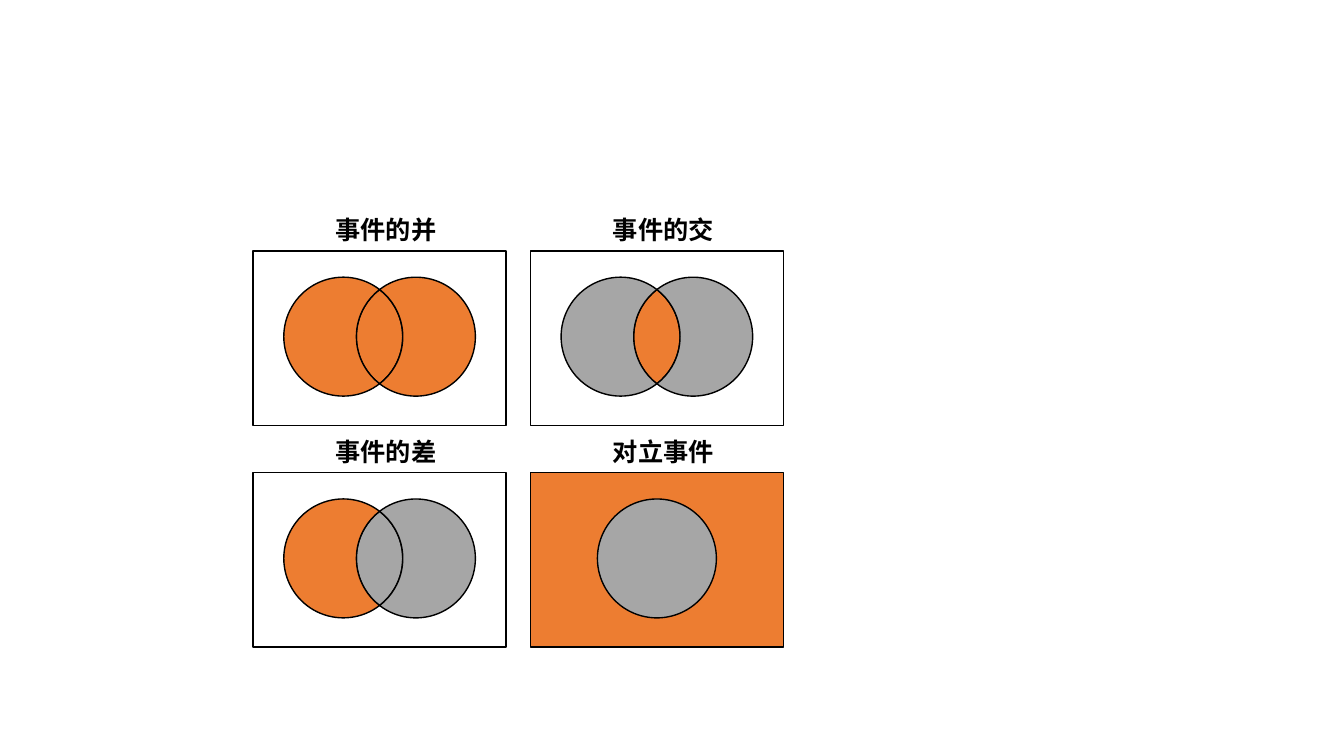
from math import acos, cos, degrees, radians, sin

from lxml.etree import SubElement
from pptx import Presentation
from pptx.dml.color import RGBColor
from pptx.enum.shapes import MSO_SHAPE
from pptx.enum.text import MSO_AUTO_SIZE
from pptx.oxml.ns import qn
from pptx.util import Inches, Pt

FONT = "Noto Sans CJK SC"
BLACK = RGBColor(0x00, 0x00, 0x00)
WHITE = RGBColor(0xFF, 0xFF, 0xFF)
ORANGE = RGBColor(0xED, 0x7D, 0x31)
GRAY = RGBColor(0xA6, 0xA6, 0xA6)

# Grid of panels, in inches
GRID_LEFT, GRID_TOP = 2.51, 2.49
COLUMN_STEP, ROW_STEP = 2.75, 2.2
PANEL_WIDTH, PANEL_HEIGHT = 2.51, 1.73
LABEL_LEFT, LABEL_RISE = 0.72, 0.41
LABEL_WIDTH, LABEL_HEIGHT = 1.22, 0.4

# Circles, measured from the panel's middle column
RADIUS = 0.59
HALF_DISTANCE = 0.36
CENTER_DROP = 0.85
CROSSING = degrees(acos(HALF_DISTANCE / RADIUS))
ANGLE_UNITS = 60000

# Column, row, title, then colours of left part, overlap and right part
VENN_PANELS = [
    (0, 0, "事件的并", ORANGE, ORANGE, ORANGE),
    (1, 0, "事件的交", GRAY, ORANGE, GRAY),
    (0, 1, "事件的差", ORANGE, GRAY, GRAY),
]


def paint(shape, color):
    shape.shadow.inherit = False
    shape.fill.solid()
    shape.fill.fore_color.rgb = color
    shape.line.color.rgb = BLACK
    shape.line.width = Pt(1)


def add_preset(page, kind, left, top, width, height, color):
    lengths = [Inches(value) for value in (left, top, width, height)]
    paint(page.shapes.add_shape(kind, *lengths), color)


def add_label(page, left, top, title):
    lengths = [Inches(value) for value in (left, top, LABEL_WIDTH, LABEL_HEIGHT)]
    frame = page.shapes.add_textbox(*lengths).text_frame
    frame.word_wrap = False
    frame.auto_size = MSO_AUTO_SIZE.SHAPE_TO_FIT_TEXT
    para = frame.paragraphs[0]
    para.text = title
    para.font.size = Pt(18)
    para.font.bold = True
    para.font.color.rgb = BLACK
    para.font.name = FONT
    # Chinese text takes the East Asian typeface
    defaults = para._p.pPr.find(qn("a:defRPr"))
    SubElement(defaults, qn("a:ea")).set("typeface", FONT)


def add_panel(page, column, row, title, color):
    """Add a titled frame and return the middle of its circles."""
    left = GRID_LEFT + column * COLUMN_STEP
    top = GRID_TOP + row * ROW_STEP
    add_preset(page, MSO_SHAPE.RECTANGLE, left, top, PANEL_WIDTH, PANEL_HEIGHT, color)
    add_label(page, left + LABEL_LEFT, top - LABEL_RISE, title)
    return left + PANEL_WIDTH / 2, top + CENTER_DROP


def arc_corners(center_x, center_y, start, end):
    """Ends of an arc and the outermost points between them."""
    low, high = sorted((start, end))
    quarters = [angle for angle in range(0, 541, 90) if low < angle < high]
    return [(Inches(center_x + RADIUS * cos(radians(angle))),
             Inches(center_y + RADIUS * sin(radians(angle))))
            for angle in (start, *quarters, end)]


def add_region(page, arcs, color):
    """Add an outline of arcs; angles in degrees, clockwise from the right."""
    points = [point for piece in arcs for point in arc_corners(*piece)]
    builder = page.shapes.build_freeform(*points[0], scale=1.0)
    builder.add_line_segments(points[1:], close=True)
    shape = builder.convert_to_shape()
    # The straight segments set the extent; true arcs take their place
    outline = next(shape._element.iter(qn("a:path")))
    for segment in outline.findall(qn("a:lnTo")):
        outline.remove(segment)
    closing = outline.find(qn("a:close"))
    for _, _, start, end in arcs:
        curve = SubElement(outline, qn("a:arcTo"))
        curve.set("wR", str(Inches(RADIUS)))
        curve.set("hR", str(Inches(RADIUS)))
        curve.set("stAng", str(round(start % 360 * ANGLE_UNITS)))
        curve.set("swAng", str(round((end - start) * ANGLE_UNITS)))
        closing.addprevious(curve)
    paint(shape, color)


def add_venn(page, middle_x, middle_y, left_color, overlap_color, right_color):
    left_circle = (middle_x - HALF_DISTANCE, middle_y)
    right_circle = (middle_x + HALF_DISTANCE, middle_y)
    left_low, left_high = CROSSING, -CROSSING
    right_low, right_high = 180 - CROSSING, 180 + CROSSING
    add_region(page, [(*left_circle, left_high, left_low),
                      (*right_circle, right_low, right_high)], overlap_color)
    add_region(page, [(*right_circle, right_high, right_low + 360),
                      (*left_circle, left_low, left_high)], right_color)
    add_region(page, [(*left_circle, left_low, left_high + 360),
                      (*right_circle, right_high, right_low)], left_color)


def main():
    deck = Presentation()
    deck.slide_width, deck.slide_height = Inches(13.33), Inches(7.5)
    page = deck.slides.add_slide(deck.slide_layouts[6])

    # Union, intersection and difference
    for column, row, title, *colors in VENN_PANELS:
        middle = add_panel(page, column, row, title, WHITE)
        add_venn(page, *middle, *colors)

    # Complement
    middle_x, middle_y = add_panel(page, 1, 1, "对立事件", ORANGE)
    add_preset(page, MSO_SHAPE.OVAL, middle_x - RADIUS, middle_y - RADIUS,
               2 * RADIUS, 2 * RADIUS, GRAY)

    deck.save("out.pptx")


main()
